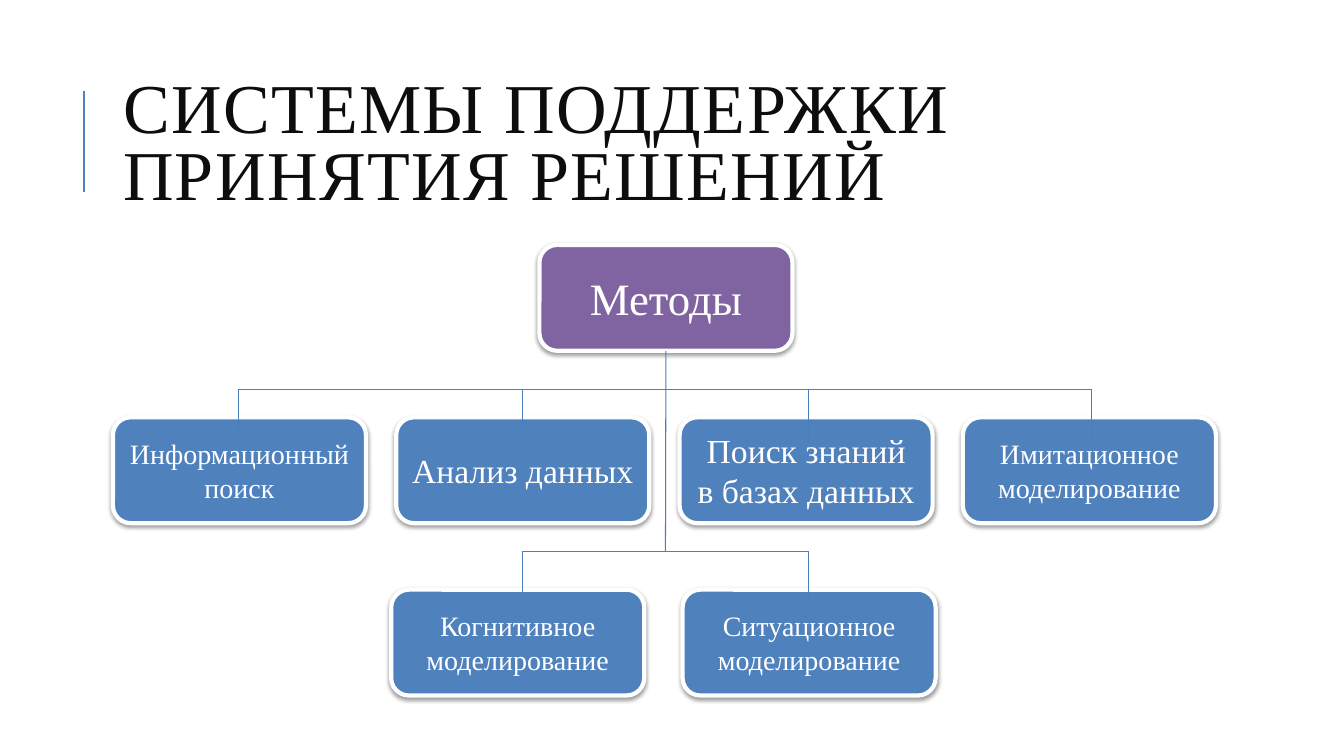
"""Build a slide with a tree of decision support methods."""
from itertools import pairwise

from lxml.etree import SubElement
from pptx import Presentation
from pptx.dml.color import RGBColor
from pptx.enum.shapes import MSO_CONNECTOR as CONNECTOR, MSO_SHAPE as SHAPE
from pptx.enum.text import MSO_ANCHOR as ANCHOR, MSO_AUTO_SIZE as AUTO_SIZE, PP_ALIGN as ALIGN
from pptx.oxml.ns import qn
from pptx.util import Pt

PX = 9144
FONT = "Times New Roman"
WHITE = RGBColor(0xFF, 0xFF, 0xFF)
INK = RGBColor(0x0D, 0x0D, 0x0D)
BLUE = RGBColor(0x4F, 0x81, 0xBD)
PURPLE = RGBColor(0x80, 0x64, 0xA2)
BRANCH_BLUE = RGBColor(0x4B, 0x7E, 0xBC)
BOX_WIDTH, BOX_HEIGHT = 251, 105
ROW_TOP, LAST_ROW_TOP = 414, 585
TRUNK_X, DROP = 660, 50

presentation = Presentation()
presentation.slide_width, presentation.slide_height = 1333 * PX, 750 * PX
slide = presentation.slides.add_slide(presentation.slide_layouts[5])


def add_line(x1, y1, x2, y2, color=BRANCH_BLUE, width=0.75):
    line = slide.shapes.add_connector(CONNECTOR.STRAIGHT, x1 * PX, y1 * PX, x2 * PX, y2 * PX)
    line.line.color.rgb = color
    line.line.width = Pt(width)
    SubElement(line._element.spPr, qn("a:effectLst"))
    return line


def write(shape, text, size, color, align):
    frame = shape.text_frame
    settings = {"word_wrap": True, "auto_size": AUTO_SIZE.NONE, "vertical_anchor": ANCHOR.MIDDLE}
    for name, value in settings.items():
        setattr(frame, name, value)
    paragraph = frame.paragraphs[0]
    paragraph.alignment = align
    run = paragraph.add_run()
    run.text = text
    for name, value in {"name": FONT, "size": Pt(size)}.items():
        setattr(run.font, name, value)
    run.font.color.rgb = color
    return paragraph, run


add_line(83, 190, 83, 90, BLUE, 1.5)

title = slide.shapes.title
for name, value in {"left": 112, "top": 64, "width": 1063, "height": 164}.items():
    setattr(title, name, value * PX)
paragraph, run = write(title, "СИСТЕМЫ ПОДДЕРЖКИ ПРИНЯТИЯ РЕШЕНИЙ", 50, INK, ALIGN.LEFT)
paragraph.line_spacing = 0.8
run.font._element.set("spc", "100")

boxes = [
    ("Методы", 535, 243, 32, PURPLE),
    ("Информационный поиск", 112, ROW_TOP, 20, BLUE),
    ("Анализ данных", 393, ROW_TOP, 24, BLUE),
    ("Поиск знаний в базах данных", 674, ROW_TOP, 24, BLUE),
    ("Имитационное моделирование", 955, ROW_TOP, 20, BLUE),
    ("Когнитивное моделирование", 388, LAST_ROW_TOP, 20, BLUE),
    ("Ситуационное моделирование", 677, LAST_ROW_TOP, 20, BLUE),
]
box_shapes = []
for text, left, top, size, color in boxes:
    box = slide.shapes.add_shape(
        SHAPE.ROUNDED_RECTANGLE, left * PX, top * PX, BOX_WIDTH * PX, BOX_HEIGHT * PX)
    box.fill.solid()
    box.fill.fore_color.rgb = color
    box.line.color.rgb = WHITE
    box.line.width = Pt(3)
    box.shadow.inherit = False
    effects = box._element.spPr.find(qn("a:effectLst"))
    shadow = SubElement(effects, qn("a:outerShdw"), blurRad=str(Pt(3.1)), dist=str(Pt(1.6)),
                        dir="5400000", rotWithShape="0")
    shadow_color = SubElement(shadow, qn("a:srgbClr"), val="000000")
    SubElement(shadow_color, qn("a:alpha"), val="38000")
    write(box, text, size, WHITE, ALIGN.CENTER)
    box_shapes.append(box)

trunk = add_line(TRUNK_X, 348, TRUNK_X, 547)
trunk.begin_connect(box_shapes[0], 2)

for bus_y, drops in ((386, (237, 518, 802, 1083)), (547, (518, 802))):
    for start, end in pairwise(sorted((*drops, TRUNK_X))):
        add_line(end, bus_y, start, bus_y)
    for x in drops:
        add_line(x, bus_y + DROP, x, bus_y)

presentation.save("out.pptx")
